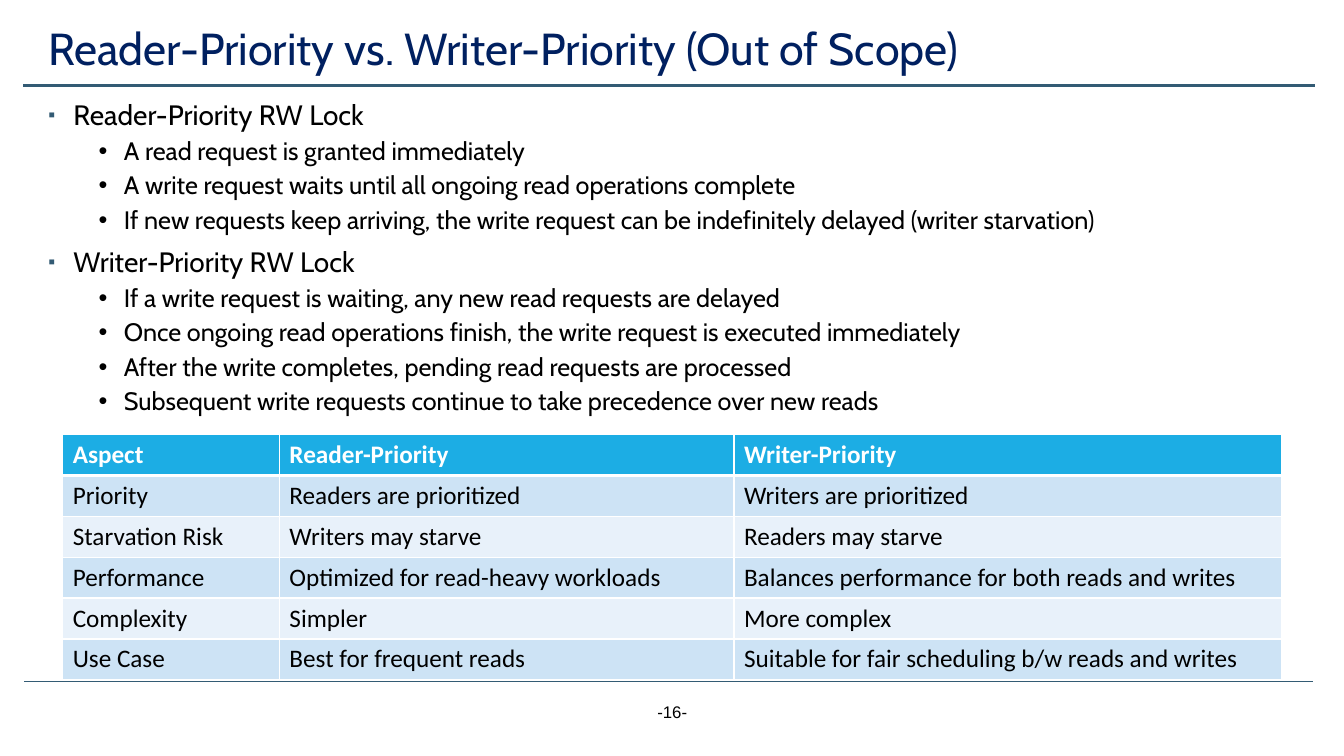
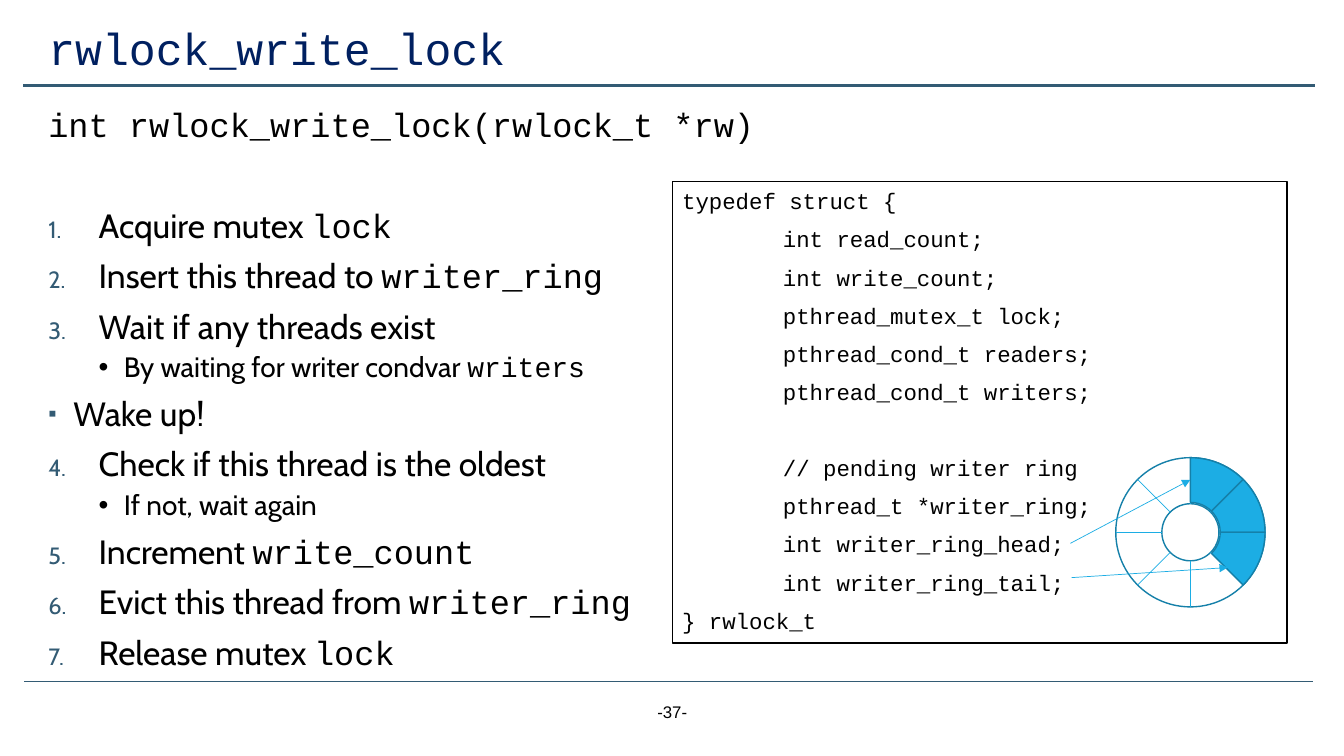
from math import cos, radians, sin

from lxml.etree import SubElement
from pptx import Presentation
from pptx.dml.color import RGBColor as RGB
from pptx.enum.shapes import MSO_CONNECTOR as CONNECTOR, MSO_SHAPE as SHAPE
from pptx.enum.text import MSO_ANCHOR as ANCHOR, PP_ALIGN as ALIGN
from pptx.oxml.ns import qn
from pptx.util import Pt


class Theme:
    navy, slate, black, white = "002060", "335B74", "000000", "FFFFFF"
    cyan, ring_edge = "1CADE4", "1580A9"
    row_fills = ("E8F1FA", "CDE3F5")
    body_font, code_font, table_font, footer_font = "Cabin", "Courier New", "Calibri", "Arial"
    title_size, table_size, struct_size, footer_size = 32, 18, 16, 12
    tight = 0.9


# Paragraph styles: left margin, hanging indent, space before, bullet
STYLES = {
    "plain": (0, 0, 0, None),
    "point": (18, -18, 10, "▪"),
    "detail": (54, -18, 5, "•"),
    "step": (36, -36, 10, 1),
    "late step": (36, -36, 10, 4),
    "code": (0, 0, 10, None),
    "field": (72, 0, 10, None),
}


def write(frame, paragraphs, size, color=Theme.black, font=Theme.body_font, bold=False,
          frame_format=None, paragraph_format=None):
    """Fill a text frame from (style, text, overrides); backticks enclose code."""
    for key, value in {"word_wrap": True, **(frame_format or {})}.items():
        setattr(frame, key, value)
    for index, (style, text, overrides) in enumerate(paragraphs):
        paragraph = frame.add_paragraph() if index else frame.paragraphs[0]
        margin, indent, space, bullet = STYLES[style]
        formats = {"space_before": Pt(space), **(paragraph_format or {}), **overrides}
        text_size = formats.pop("size", size)
        for key, value in formats.items():
            setattr(paragraph, key, value)
        props = paragraph._p.get_or_add_pPr()
        props.set("marL", str(Pt(margin)))
        props.set("indent", str(Pt(indent)))
        if style == "detail":
            props.set("lvl", "1")
        if bullet and style != "detail":
            SubElement(SubElement(props, qn("a:buClr")), qn("a:srgbClr"), val=Theme.slate)
            SubElement(props, qn("a:buSzPct"), val="70000")
        if isinstance(bullet, int):
            SubElement(props, qn("a:buAutoNum"), type="arabicPeriod", startAt=str(bullet))
        elif bullet:
            SubElement(props, qn("a:buFont"), typeface=Theme.footer_font)
            SubElement(props, qn("a:buChar"), char=bullet)
        for part, words in enumerate(text.split("`")):
            if words:
                run = paragraph.add_run()
                run.text = words
                run.font.color.rgb = RGB.from_string(color)
                run_format = {"size": Pt(text_size), "bold": bold,
                              "name": Theme.code_font if part % 2 else font}
                for key, value in run_format.items():
                    setattr(run.font, key, value)


def draw_line(slide, start, end, color, width, arrow=False):
    line = slide.shapes.add_connector(CONNECTOR.STRAIGHT, *map(Pt, (*start, *end)))
    line.line.color.rgb = RGB.from_string(color)
    line.line.width = Pt(width)
    if arrow:
        SubElement(line.line._get_or_add_ln(), qn("a:tailEnd"), type="triangle")
    SubElement(line._element.spPr, qn("a:effectLst"))


deck = Presentation()
deck.slide_width, deck.slide_height = Pt(960), Pt(540)
TIGHT = {"line_spacing": Theme.tight}

# Shared frame of both slides: rules, title, page number
slides = []
for title, page in (("Reader-Priority vs. Writer-Priority (Out of Scope)", 16),
                    ("`rwlock_write_lock`", 37)):
    slide = deck.slides.add_slide(deck.slide_layouts[6])
    slides.append(slide)
    draw_line(slide, (17.3, 486.7), (938.2, 486.7), Theme.slate, 0.5)
    draw_line(slide, (16.6, 61.2), (939.6, 61.2), Theme.slate, 1.75)
    heading = slide.shapes.add_textbox(Pt(27.4), Pt(13.7), Pt(895), Pt(45.4))
    write(heading.text_frame, [("plain", title, {})], Theme.title_size, Theme.navy,
          frame_format={"vertical_anchor": ANCHOR.MIDDLE}, paragraph_format=TIGHT)
    footer = slide.shapes.add_textbox(Pt(372.2), Pt(497.5), Pt(216), Pt(28.8))
    write(footer.text_frame, [("plain", f"-{page}-", {})], Theme.footer_size,
          font=Theme.footer_font, paragraph_format={"alignment": ALIGN.CENTER})
priority_slide, write_lock_slide = slides

# Reader and writer priority: explanation
policies = [
    ("point", "Reader-Priority RW Lock"),
    ("detail", "A read request is granted immediately"),
    ("detail", "A write request waits until all ongoing read operations complete"),
    ("detail", "If new requests keep arriving, the write request can be indefinitely delayed "
               "(writer starvation)"),
    ("point", "Writer-Priority RW Lock"),
    ("detail", "If a write request is waiting, any new read requests are delayed"),
    ("detail", "Once ongoing read operations finish, the write request is executed immediately"),
    ("detail", "After the write completes, pending read requests are processed"),
    ("detail", "Subsequent write requests continue to take precedence over new reads"),
]
explanation = priority_slide.shapes.add_textbox(Pt(27.4), Pt(69.1), Pt(895), Pt(409.7))
write(explanation.text_frame,
      [(style, text, {"size": 18} if style == "detail" else {}) for style, text in policies],
      20, paragraph_format=TIGHT)

# Comparison table
aspects = [
    ("Aspect", "Reader-Priority", "Writer-Priority"),
    ("Priority", "Readers are prioritized", "Writers are prioritized"),
    ("Starvation Risk", "Writers may starve", "Readers may starve"),
    ("Performance", "Optimized for read-heavy workloads",
     "Balances performance for both reads and writes"),
    ("Complexity", "Simpler", "More complex"),
    ("Use Case", "Best for frequent reads", "Suitable for fair scheduling b/w reads and writes"),
]
column_widths = (154.8, 324.7, 391)
row_height = 29.2
comparison = priority_slide.shapes.add_table(
    len(aspects), len(column_widths), Pt(44.8), Pt(310.4),
    Pt(sum(column_widths)), Pt(row_height * len(aspects))).table
comparison.horz_banding = False
for column, width in zip(comparison.columns, column_widths):
    column.width = Pt(width)
for row, texts in enumerate(aspects):
    comparison.rows[row].height = Pt(row_height)
    header = row == 0
    for column, text in enumerate(texts):
        cell = comparison.cell(row, column)
        write(cell.text_frame, [("plain", text, {})], Theme.table_size,
              Theme.white if header else Theme.black, Theme.table_font, header)
        cell_props = cell._tc.get_or_add_tcPr()
        for side in "LRTB":
            heavy = (row, side) in ((0, "B"), (1, "T"))
            border = SubElement(cell_props, qn(f"a:ln{side}"), w=str(Pt(3 if heavy else 1)))
            SubElement(SubElement(border, qn("a:solidFill")), qn("a:srgbClr"), val=Theme.white)
        cell.fill.solid()
        cell.fill.fore_color.rgb = RGB.from_string(
            Theme.cyan if header else Theme.row_fills[row % 2])

# Write lock: signature and steps
procedure = [
    ("plain", "`int rwlock_write_lock(rwlock_t *rw)`", {}),
    ("step", "Acquire mutex `lock`", {"space_before": Pt(46)}),
    ("step", "Insert this thread to `writer_ring`", {}),
    ("step", "Wait if any threads exist", {}),
    ("detail", "By waiting for writer condvar `writers`", {"size": 20}),
    ("point", "Wake up!", {}),
    ("late step", "Check if this thread is the oldest", {}),
    ("detail", "If not, wait again", {"size": 20}),
    ("late step", "Increment `write_count`", {}),
    ("late step", "Evict this thread from `writer_ring`", {}),
    ("late step", "Release mutex `lock`", {}),
]
steps = write_lock_slide.shapes.add_textbox(Pt(27.4), Pt(74.2), Pt(634.3), Pt(404.6))
write(steps.text_frame, procedure, 24, paragraph_format=TIGHT)

# Writer ring: outlines, spokes, occupied slots
center_x, center_y, outer, inner = 850.3, 380.2, 53.3, 20.4
slot_angle = 45
slots = [(SHAPE.BLOCK_ARC, outer, start) for start in (270, 315, 0)]
outlines = [(SHAPE.OVAL, outer, None), (SHAPE.OVAL, inner, None)]
for preset, radius, start in outlines + slots:
    if start == slots[0][2]:
        for angle in range(0, 360, slot_angle):
            across, down = cos(radians(angle)), sin(radians(angle))
            rim, hub = [(center_x + r * across, center_y + r * down) for r in (outer, inner)]
            draw_line(write_lock_slide, rim, hub, Theme.cyan, 0.5)
    ring = write_lock_slide.shapes.add_shape(
        preset, Pt(center_x - radius), Pt(center_y - radius), Pt(2 * radius), Pt(2 * radius))
    ring.shadow.inherit = False
    ring.line.color.rgb = RGB.from_string(Theme.ring_edge)
    ring.line.width = Pt(1)
    if start is None:
        ring.fill.background()
    else:
        ring.fill.solid()
        ring.fill.fore_color.rgb = RGB.from_string(Theme.cyan)
        # An angle adjustment of 0.6 is one degree
        ring.adjustments[0] = start * 0.6
        ring.adjustments[1] = (start + slot_angle) % 360 * 0.6
        ring.adjustments[2] = 0.3

# Head and tail pointers
for field_end, slot in (((764.6, 388.1), (850.3, 342.7)), ((765.4, 412.6), (877, 405.4))):
    draw_line(write_lock_slide, field_end, slot, Theme.cyan, 0.5, arrow=True)

# Lock structure
fields = ["int read_count;", "int write_count;", "pthread_mutex_t lock;",
          "pthread_cond_t readers;", "pthread_cond_t writers;", "// pending writer ring",
          "pthread_t *writer_ring;", "int writer_ring_head;", "int writer_ring_tail;"]
struct_lines = [("code", "typedef struct {", {})]
for field in fields:
    struct_lines.append(
        ("field", field, {"space_before": Pt(37)} if field.startswith("//") else {}))
struct_lines.append(("code", "} rwlock_t", {}))
struct = write_lock_slide.shapes.add_shape(SHAPE.RECTANGLE, Pt(480.2), Pt(129.6), Pt(439.2), Pt(329.8))
struct.shadow.inherit = False
struct.fill.background()
struct.line.color.rgb = RGB.from_string(Theme.black)
struct.line.width = Pt(1)
write(struct.text_frame, struct_lines, Theme.struct_size, font=Theme.code_font,
      frame_format={"vertical_anchor": ANCHOR.MIDDLE},
      paragraph_format={**TIGHT, "alignment": ALIGN.LEFT})

deck.save("out.pptx")
